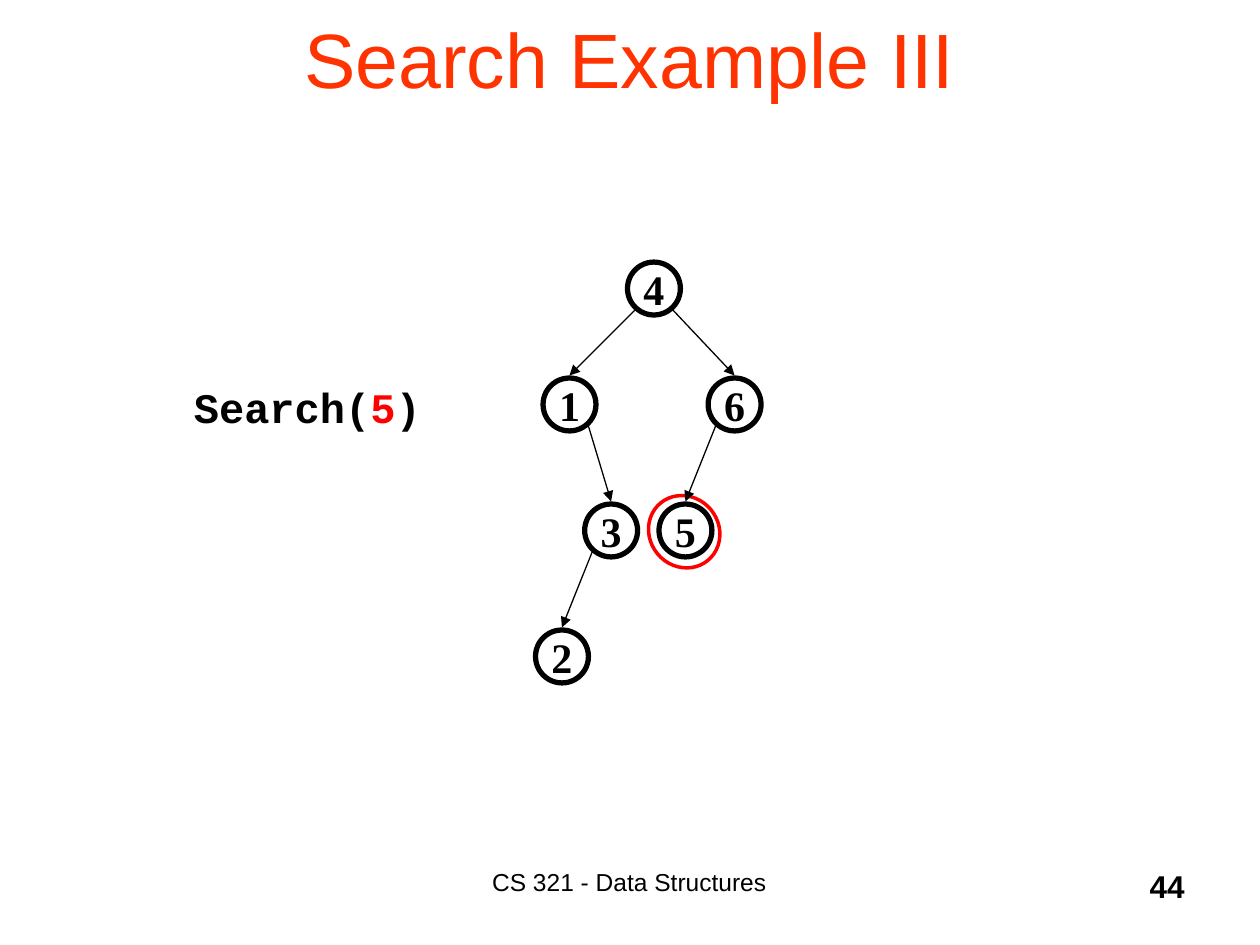
from lxml.etree import SubElement
from pptx import Presentation
from pptx.dml.color import RGBColor
from pptx.enum.shapes import MSO_CONNECTOR as Connector, MSO_SHAPE as Shape
from pptx.enum.text import MSO_ANCHOR as Anchor, PP_ALIGN as Align
from pptx.oxml.ns import qn
from pptx.util import Inches, Pt

# The slide is a grid of 10 columns by 7.5 rows of square cells
COLUMNS, ROWS = 10, 7.5
CELL = Inches(1)

BLACK, RED, ORANGE = "000000", "FF0000", "FF3300"
NODE_SIZE = 0.42
EDGE_DX, EDGE_DY = 0.15, 0.17  # where an edge leaves its parent
EDGE_GAP = 0.02  # between an arrow tip and its child

# Centre of each tree node, as column and row
NODES = {
    "4": (5.19, 2.29),
    "1": (4.52, 3.21),
    "6": (5.83, 3.21),
    "3": (4.85, 4.21),
    "5": (5.44, 4.21),
    "2": (4.46, 5.21),
}
EDGES = ["41", "46", "13", "65", "32"]


def grid(*cells):
    return [round(cell * CELL) for cell in cells]


def color(value):
    return RGBColor.from_string(value)


def style_font(font, name, size, value, bold=False):
    font.name, font.size, font.bold = name, Pt(size), bold
    font.color.rgb = color(value)


def add_text(slide, box, runs, name, size, align=Align.LEFT, bold=False,
             anchor=Anchor.TOP, wrap=True):
    """Add one line of text; runs are pairs of wording and colour."""
    frame = slide.shapes.add_textbox(*grid(*box)).text_frame
    frame.word_wrap, frame.vertical_anchor = wrap, anchor
    paragraph = frame.paragraphs[0]
    paragraph.alignment = align
    style_font(paragraph.font, name, size, runs[0][1], bold)
    for text, value in runs:
        run = paragraph.add_run()
        run.text = text
        style_font(run.font, name, size, value, bold)


def add_ellipse(slide, center, width, height, value, line_width):
    column, row = center
    shape = slide.shapes.add_shape(
        Shape.OVAL, *grid(column - width / 2, row - height / 2, width, height))
    shape.shadow.inherit = False
    shape.fill.background()
    shape.line.color.rgb = color(value)
    shape.line.width = Pt(line_width)
    return shape


def add_node(slide, label):
    node = add_ellipse(slide, NODES[label], NODE_SIZE, NODE_SIZE, BLACK, 3)
    frame = node.text_frame
    frame.word_wrap, frame.vertical_anchor = False, Anchor.MIDDLE
    frame.margin_left = frame.margin_right = 0
    frame.margin_top = frame.margin_bottom = 0
    paragraph = frame.paragraphs[0]
    paragraph.text, paragraph.alignment = label, Align.CENTER
    style_font(paragraph.font, "Times New Roman", 24, BLACK, bold=True)


def add_edge(slide, parent, child):
    """Draw an arrow from the parent's lower side to the child's top."""
    (start, row), (end, child_row) = NODES[parent], NODES[child]
    side = EDGE_DX if end > start else -EDGE_DX
    edge = slide.shapes.add_connector(Connector.STRAIGHT, *grid(
        start + side, row + EDGE_DY,
        end, child_row - NODE_SIZE / 2 - EDGE_GAP))
    edge.line.color.rgb = color(BLACK)
    edge.line.width = Pt(0.75)
    SubElement(edge.line._get_or_add_ln(), qn("a:tailEnd"), type="triangle")
    SubElement(edge._element.spPr, qn("a:effectLst"))


def main():
    presentation = Presentation()
    presentation.slide_width, presentation.slide_height = grid(COLUMNS, ROWS)
    slide = presentation.slides.add_slide(presentation.slide_layouts[6])

    # Ring around the key that was found
    ring = add_ellipse(slide, (5.43, 4.22), 0.55, 0.59, RED, 2)
    ring.rotation = 320.5

    # Title and footer
    add_text(slide, (0.75, -0.17, 8.5, 1.25), [("Search Example III", ORANGE)],
             "Arial", 44, Align.CENTER, anchor=Anchor.MIDDLE)
    add_text(slide, (3.08, 6.83, 3.83, 0.5),
             [("CS 321 - Data Structures", BLACK)], "Arial", 14, Align.CENTER)
    add_text(slide, (7.42, 6.83, 2.08, 0.5), [("44", BLACK)],
             "Arial", 18, Align.RIGHT, bold=True)

    # Binary search tree
    for label in NODES:
        add_node(slide, label)
    for parent, child in EDGES:
        add_edge(slide, parent, child)

    # The call being traced
    add_text(slide, (1.44, 2.98, 2.02, 0.5),
             [("Search(", BLACK), ("5", RED), (")", BLACK)],
             "Courier New", 24, bold=True, wrap=False)

    presentation.save("out.pptx")


if __name__ == "__main__":
    main()
